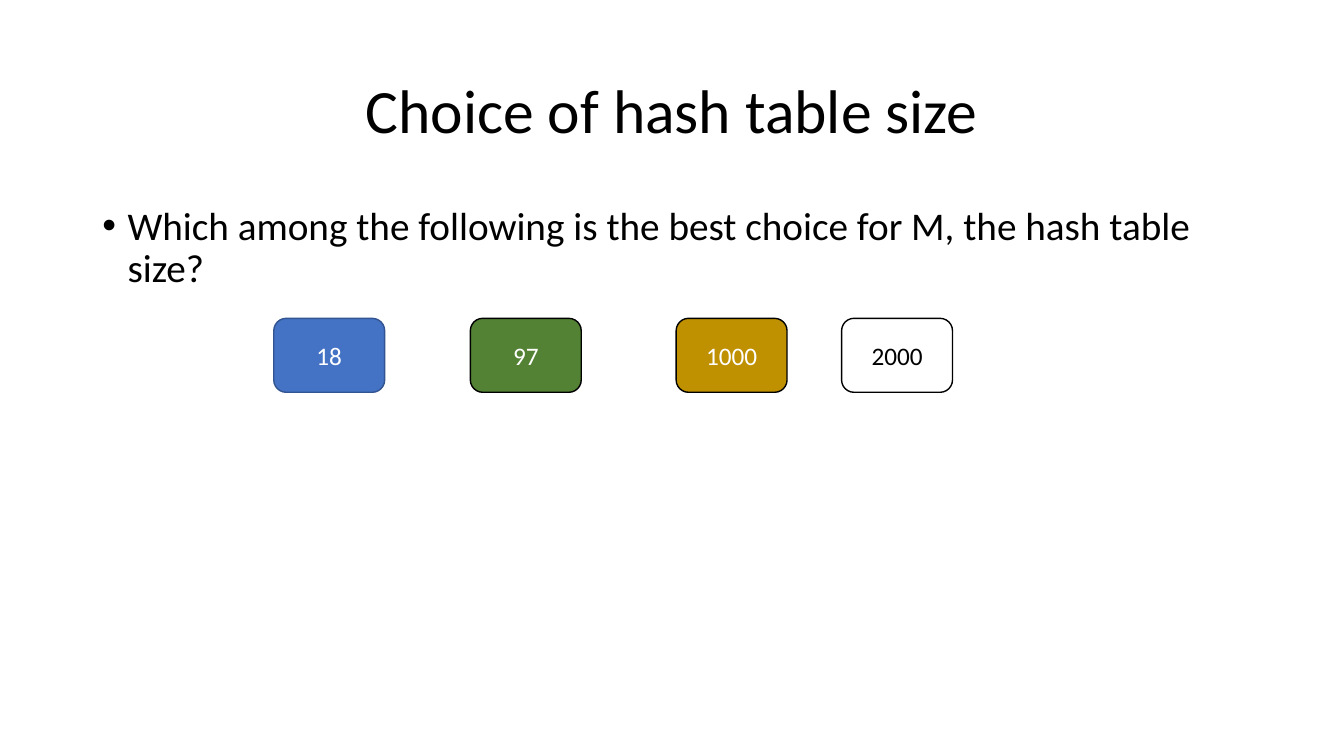
from lxml import etree
from pptx import Presentation
from pptx import util as u
from pptx.dml.color import RGBColor
from pptx.enum import shapes, text
from pptx.oxml import ns

BLACK = RGBColor(0x00, 0x00, 0x00)
WHITE = RGBColor(0xFF, 0xFF, 0xFF)
BLUE = RGBColor(0x44, 0x72, 0xC4)
NAVY = RGBColor(0x32, 0x54, 0x91)
GREEN = RGBColor(0x54, 0x82, 0x35)
GOLD = RGBColor(0xBF, 0x90, 0x00)

COLS, ROWS = 160, 90
MIDDLE = text.MSO_ANCHOR.MIDDLE
CENTER = text.PP_ALIGN.CENTER


def write(shape, words, size, color=BLACK, font="Calibri", align=None,
          anchor=text.MSO_ANCHOR.TOP, spacing=None, bullet=None):
    frame = shape.text_frame
    frame.word_wrap = True
    frame.vertical_anchor = anchor
    para = frame.paragraphs[0]
    para.text = words
    para.alignment = align
    para.line_spacing = spacing
    if bullet:
        props = para._p.get_or_add_pPr()
        indent = u.Inches(0.25)
        props.set("marL", str(indent))
        props.set("indent", str(-indent))
        face = etree.SubElement(props, ns.qn("a:buFont"))
        face.set("typeface", "Arial")
        etree.SubElement(props, ns.qn("a:buChar")).set("char", bullet)
    style = para.runs[0].font
    style.name = font
    style.size = u.Pt(size)
    style.color.rgb = color


class Deck:
    """Holds the current slide and places elements on its grid."""

    def __init__(self):
        self.show = Presentation()
        self.show.slide_width = u.Inches(13.333)
        self.show.slide_height = u.Inches(7.5)
        self.slide = self.show.slides.add_slide(self.show.slide_layouts[6])

    def area(self, col, row, wide, high):
        """Turn grid columns and rows into slide lengths."""
        across = self.show.slide_width / COLS
        down = self.show.slide_height / ROWS
        return (round(col * across), round(row * down),
                round(wide * across), round(high * down))

    def label(self, place, words, size, **style):
        box = self.slide.shapes.add_textbox(*self.area(*place))
        write(box, words, size, **style)

    def card(self, place, words, fill, line=BLACK, color=WHITE):
        box = self.slide.shapes.add_shape(
            shapes.MSO_SHAPE.ROUNDED_RECTANGLE, *self.area(*place))
        box.shadow.inherit = False
        box.fill.solid()
        box.fill.fore_color.rgb = fill
        box.line.color.rgb = line
        box.line.width = u.Pt(1)
        write(box, words, 18, color=color, align=CENTER, anchor=MIDDLE)


def main():
    deck = Deck()
    deck.label((11, 4.8, 138, 17.4), "Choice of hash table size", 44,
               align=CENTER, anchor=MIDDLE, spacing=0.9)
    deck.label((11, 24, 138, 57.1),
               "Which among the following is the best choice for M, "
               "the hash table size?", 28, spacing=0.9, bullet="•")
    sizes = [
        (32.6, "18", BLUE, NAVY, WHITE),
        (56, "97", GREEN, BLACK, WHITE),
        (80.5, "1000", GOLD, BLACK, WHITE),
        (100.2, "2000", WHITE, BLACK, BLACK),
    ]
    for col, words, fill, line, color in sizes:
        deck.card((col, 37.9, 13.2, 8.8), words, fill, line, color)
    deck.show.save("out.pptx")


if __name__ == "__main__":
    main()
